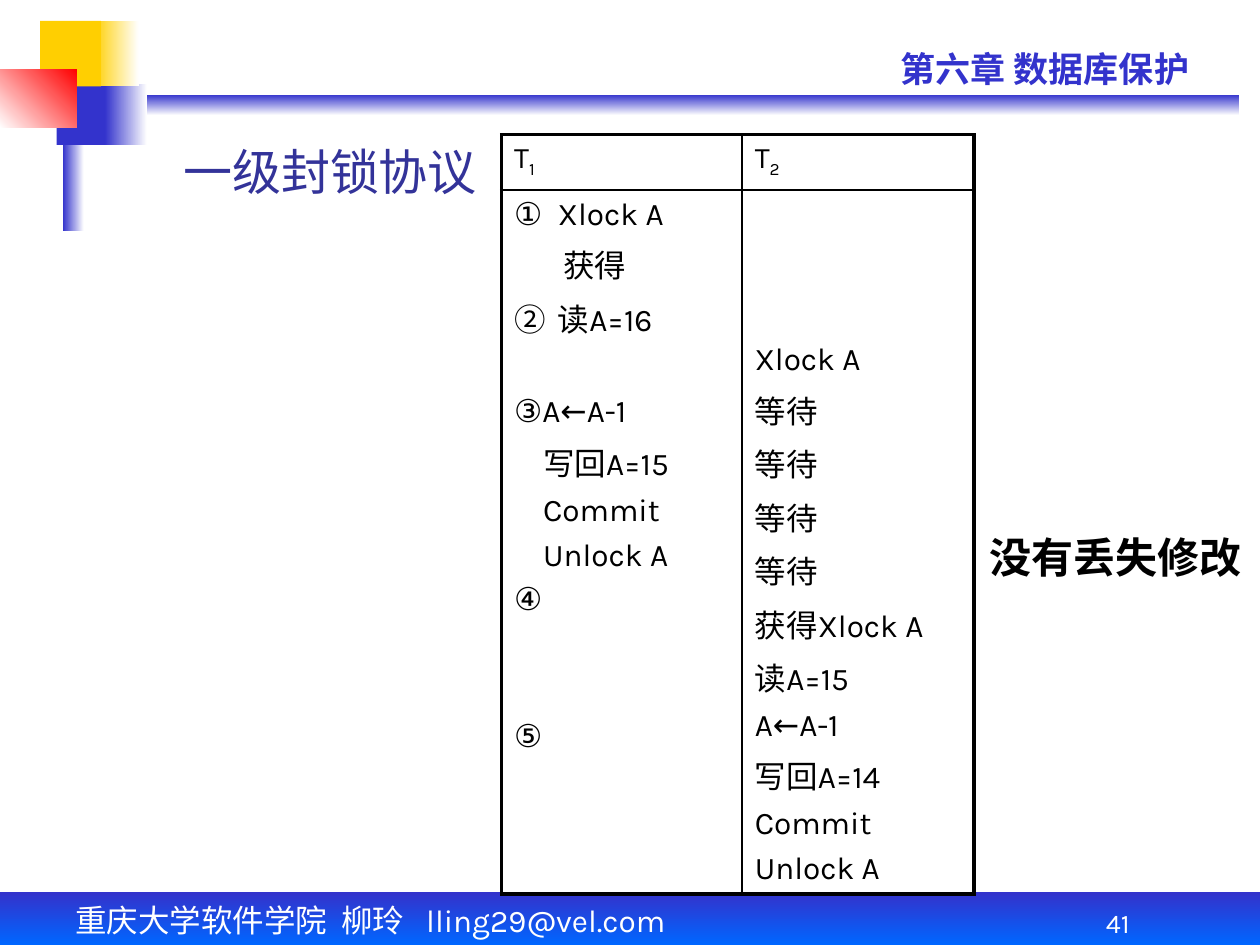
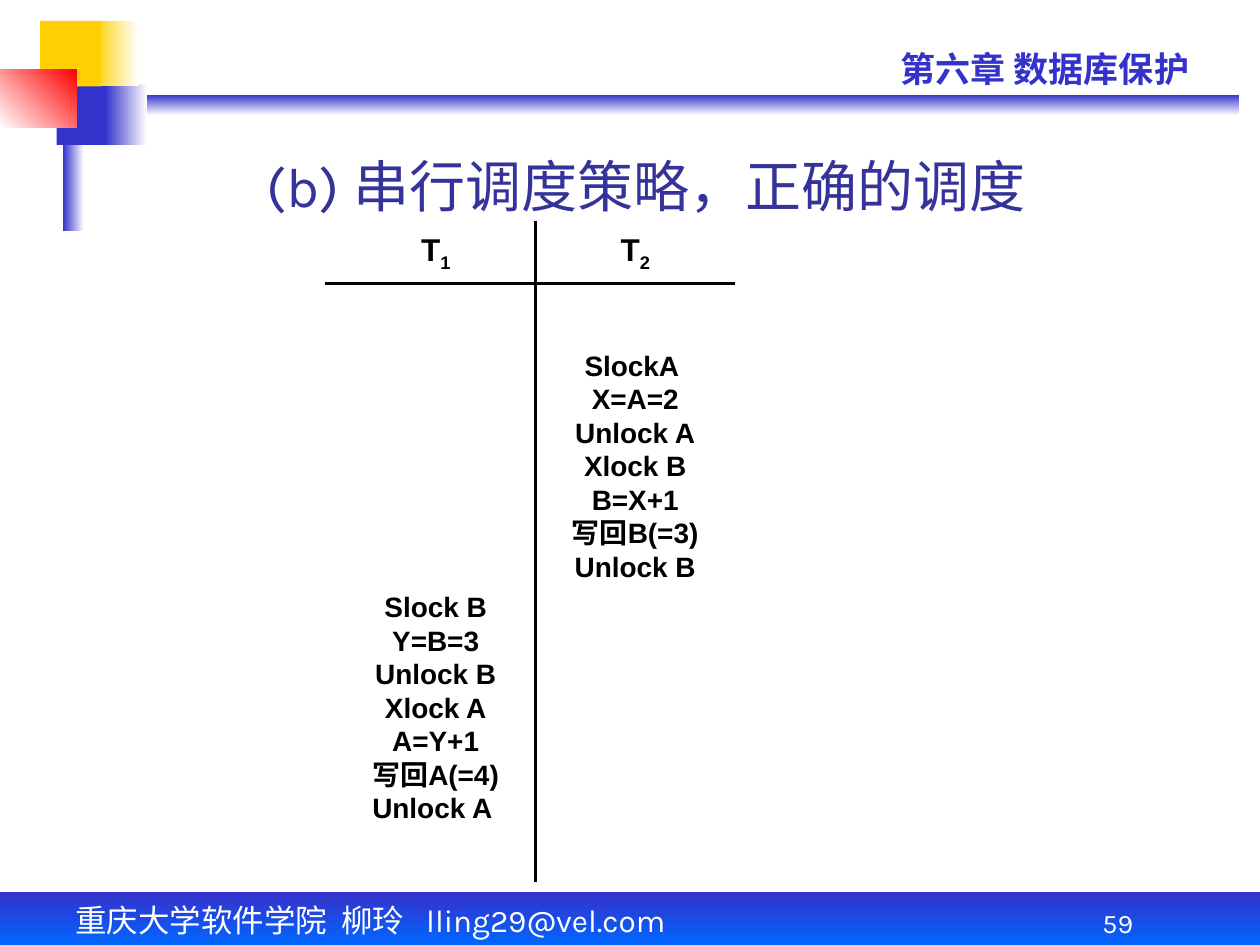
from dataclasses import dataclass
from typing import Any

from lxml import etree
from pptx import Presentation
from pptx.dml.color import RGBColor
from pptx.enum.shapes import MSO_CONNECTOR, MSO_SHAPE
from pptx.enum.text import MSO_ANCHOR, MSO_AUTO_SIZE, PP_ALIGN
from pptx.oxml.ns import qn
from pptx.util import Pt

LEFT, CENTER = PP_ALIGN.LEFT, PP_ALIGN.CENTER
TOP, MIDDLE, BOTTOM = MSO_ANCHOR.TOP, MSO_ANCHOR.MIDDLE, MSO_ANCHOR.BOTTOM
NO_AUTOFIT = MSO_AUTO_SIZE.NONE
RECTANGLE, STRAIGHT = MSO_SHAPE.RECTANGLE, MSO_CONNECTOR.STRAIGHT

COLORS = {
    "blue": "3333CC",
    "bright blue": "0066FF",
    "title": "333399",
    "yellow": "FFCF01",
    "red": "FF0000",
    "white": "FFFFFF",
    "black": "000000",
}


@dataclass(frozen=True)
class Area:
    left: float
    top: float
    width: float
    height: float

    def lengths(self) -> tuple[Pt, Pt, Pt, Pt]:
        return Pt(self.left), Pt(self.top), Pt(self.width), Pt(self.height)


@dataclass(frozen=True)
class Style:
    size: float
    color: str = "black"
    font: str = "Karla"
    bold: bool = False


@dataclass(frozen=True)
class Band:
    area: Area
    start: str
    end: str = ""
    clockwise: int = 0


@dataclass(frozen=True)
class Step:
    text: str
    indent: float = 0
    skipped_lines: int = 0


BANDS = [
    Band(Area(42, 54, 666, 12), "blue", "white", 90),
    Band(Area(60, 48, 24, 34.8), "blue", "white"),
    Band(Area(0, 510, 720, 30), "blue", "bright blue", 90),
    Band(Area(36, 42, 12, 90), "blue", "white"),
    Band(Area(32.4, 48, 27.6, 34.8), "blue"),
    Band(Area(53.5, 12, 25.7, 37.4), "yellow", "white"),
    Band(Area(23, 12, 34.6, 37.4), "yellow"),
    Band(Area(0, 39.6, 44, 33.4), "white", "red", 315),
]

FOOTER = Style(18, "white")
CHAPTER = Style(20, "blue", bold=True)
PAGE_NUMBER = Style(15.3, "white")
STEP = Style(18)
TABLE_HEADING = Style(17)
REMARK = Style(24, font="Arial", bold=True)
SCHEDULE = Style(16, font="Arial", bold=True)
SCHEDULE_HEADING = Style(18, font="Arial", bold=True)

FOOTER_STOPS = (152, 200.5)
STEP_TAB = 25
STEP_GAP = 4.5
STEP_PITCH = 26.1
SCHEDULE_PITCH = 19.15
INSET_X, INSET_Y = 7.2, 3.6
THICK, THIN = 2.25, 1

T1_STEPS = [
    Step("①\tXlock A"),
    Step("获得", 28),
    Step("②\t读A=16"),
    Step("③A←A-1", skipped_lines=1),
    Step("写回A=15", 16.5),
    Step("Commit", 16.5),
    Step("Unlock A", 16.5),
    Step("④"),
    Step("⑤", skipped_lines=2),
]
T2_STEPS = [
    Step(text)
    for text in (
        "Xlock A", "等待", "等待", "等待", "等待", "获得Xlock A",
        "读A=15", "A←A-1", "写回A=14", "Commit", "Unlock A",
    )
]
T1_SCHEDULE = ["Slock B", "Y=B=3", "Unlock B", "Xlock A", "A=Y+1", "写回A(=4)", "Unlock A "]
T2_SCHEDULE = ["SlockA ", "X=A=2", "Unlock A", "Xlock B", "B=X+1", "写回B(=3)", "Unlock B"]


def rgb(name: str) -> RGBColor:
    return RGBColor.from_string(COLORS[name])


def set_style(paragraph: Any, style: Style) -> None:
    font = paragraph.font
    font.name = style.font
    font.size = Pt(style.size)
    font.bold = style.bold
    font.color.rgb = rgb(style.color)


def add_tab_stops(paragraph: Any, stops: tuple[float, ...]) -> None:
    properties = paragraph._p.get_or_add_pPr()
    tab_list = etree.SubElement(properties, qn("a:tabLst"))
    for stop in stops:
        etree.SubElement(tab_list, qn("a:tab"), pos=str(int(Pt(stop))), algn="l")


def add_band(page: Any, band: Band) -> None:
    shape = page.shapes.add_shape(RECTANGLE, *band.area.lengths())
    shape.shadow.inherit = False
    shape.line.fill.background()
    if not band.end:
        shape.fill.solid()
        shape.fill.fore_color.rgb = rgb(band.start)
        return
    shape.fill.gradient()
    shape.fill.gradient_angle = (360 - band.clockwise) % 360
    for stop, color, position in zip(shape.fill.gradient_stops, (band.start, band.end), (0, 1)):
        stop.color.rgb = rgb(color)
        stop.position = position


def add_text(page: Any, area: Area, lines: list[str], style: Style, align: Any = LEFT,
             anchor: Any = TOP, wrap: bool = True, pitch: float = 0,
             stops: tuple[float, ...] = ()) -> Any:
    frame = page.shapes.add_textbox(*area.lengths()).text_frame
    frame.word_wrap = wrap
    frame.auto_size = NO_AUTOFIT
    frame.vertical_anchor = anchor
    frame.margin_left = frame.margin_right = Pt(INSET_X)
    frame.margin_top = frame.margin_bottom = Pt(INSET_Y)
    for index, line in enumerate(lines):
        paragraph = frame.add_paragraph() if index else frame.paragraphs[0]
        paragraph.text = line
        paragraph.alignment = align
        if pitch:
            paragraph.line_spacing = Pt(pitch)
        if stops:
            add_tab_stops(paragraph, stops)
        set_style(paragraph, style)
    return frame


def add_subscript(paragraph: Any, text: str) -> None:
    span = paragraph.add_run()
    span.text = text
    span._r.get_or_add_rPr().set("baseline", "-25000")


def add_line(page: Any, start: tuple[float, float], end: tuple[float, float]) -> None:
    line = page.shapes.add_connector(STRAIGHT, *(Pt(value) for value in start + end))
    line.line.width = Pt(THICK)
    line.line.color.rgb = rgb("black")
    etree.SubElement(line._element.spPr, qn("a:effectLst"))


def add_page(deck: Any, title: str, title_area: Area, title_size: float, number: str) -> Any:
    page = deck.slides.add_slide(deck.slide_layouts[5])
    for band in BANDS:
        add_band(page, band)
    add_text(page, Area(36, 511.2, 402, 28.8), ["重庆大学软件学院\t柳玲\tlling29@vel.com"],
             FOOTER, stops=FOOTER_STOPS)
    add_text(page, Area(507.6, 23.8, 201, 31.7), ["第六章 数据库保护"], CHAPTER)
    add_text(page, Area(581.8, 509.8, 113.8, 30.2), [number], PAGE_NUMBER, CENTER, BOTTOM)

    heading = page.shapes.title
    heading.left, heading.top, heading.width, heading.height = title_area.lengths()
    frame = heading.text_frame
    frame.auto_size = NO_AUTOFIT
    frame.vertical_anchor = BOTTOM
    frame.margin_left = frame.margin_right = frame.margin_top = frame.margin_bottom = 0
    paragraph = frame.paragraphs[0]
    paragraph.text = title
    paragraph.alignment = CENTER
    set_style(paragraph, Style(title_size, "title"))
    return page


def set_borders(cell: Any, widths: dict[str, float]) -> None:
    properties = cell._tc.get_or_add_tcPr()
    for side in ("L", "R", "T", "B"):
        border = etree.SubElement(properties, qn(f"a:ln{side}"), w=str(int(Pt(widths[side]))))
        fill = etree.SubElement(border, qn("a:solidFill"))
        etree.SubElement(fill, qn("a:srgbClr"), val=COLORS["black"])


def write_steps(cell: Any, steps: list[Step]) -> None:
    for index, step in enumerate(steps):
        paragraph = cell.text_frame.add_paragraph() if index else cell.text_frame.paragraphs[0]
        paragraph.text = step.text
        if index:
            paragraph.space_before = Pt(STEP_GAP + step.skipped_lines * STEP_PITCH)
        if step.indent:
            properties = paragraph._p.get_or_add_pPr()
            properties.set("marL", str(int(Pt(step.indent))))
            properties.set("indent", "0")
        if "\t" in step.text:
            add_tab_stops(paragraph, (STEP_TAB,))
        set_style(paragraph, STEP)


def add_lock_table(page: Any) -> None:
    area = Area(286.6, 77, 270, 410.4)
    table = page.shapes.add_table(2, 2, *area.lengths()).table
    table.first_row = table.horz_banding = False
    for column, width in zip(table.columns, (137.5, 132.5)):
        column.width = Pt(width)
    for row, height in zip(table.rows, (31.7, 378.7)):
        row.height = Pt(height)
    for row in range(2):
        for column in range(2):
            cell = table.cell(row, column)
            set_borders(cell, {
                "L": THIN if column else THICK,
                "R": THICK if column else THIN,
                "T": THIN if row else THICK,
                "B": THICK if row else THIN,
            })
            cell.fill.background()
            cell.vertical_anchor = TOP
            cell.margin_left = cell.margin_right = Pt(INSET_X)
            cell.margin_top = cell.margin_bottom = Pt(INSET_Y)
    for column, steps in enumerate((T1_STEPS, T2_STEPS)):
        paragraph = table.cell(0, column).text_frame.paragraphs[0]
        paragraph.text = "T"
        add_subscript(paragraph, str(column + 1))
        set_style(paragraph, TABLE_HEADING)
        write_steps(table.cell(1, column), steps)
    table.cell(1, 1).margin_top = Pt(INSET_Y + 83)


def add_schedule(page: Any) -> None:
    add_line(page, (186, 162), (420, 162))
    add_line(page, (306, 126), (306, 504))
    columns = ((192, 333.5, T1_SCHEDULE), (306, 195.5, T2_SCHEDULE))
    for number, (left, top, lines) in enumerate(columns, start=1):
        heading = add_text(page, Area(left, 126, 114, 36), ["T"], SCHEDULE_HEADING,
                           CENTER, MIDDLE, wrap=False)
        add_subscript(heading.paragraphs[0], str(number))
        height = len(lines) * SCHEDULE_PITCH + 2 * INSET_Y
        add_text(page, Area(left, top, 114, height), lines, SCHEDULE, CENTER,
                 wrap=False, pitch=SCHEDULE_PITCH)


def main() -> None:
    deck = Presentation()
    deck.slide_width, deck.slide_height = Pt(720), Pt(540)

    protocol = add_page(deck, "一级封锁协议", Area(76.3, 82.8, 224.6, 31.7), 28, "41")
    add_lock_table(protocol)
    add_text(protocol, Area(581, 275.8, 118.8, 85), ["没有丢失修改 "], REMARK,
             CENTER, MIDDLE, wrap=False)

    serial = add_page(deck, "(b) 串行调度策略，正确的调度 ", Area(87.8, 77, 570.2, 48.2), 32, "59")
    add_schedule(serial)

    deck.save("out.pptx")


if __name__ == "__main__":
    main()
